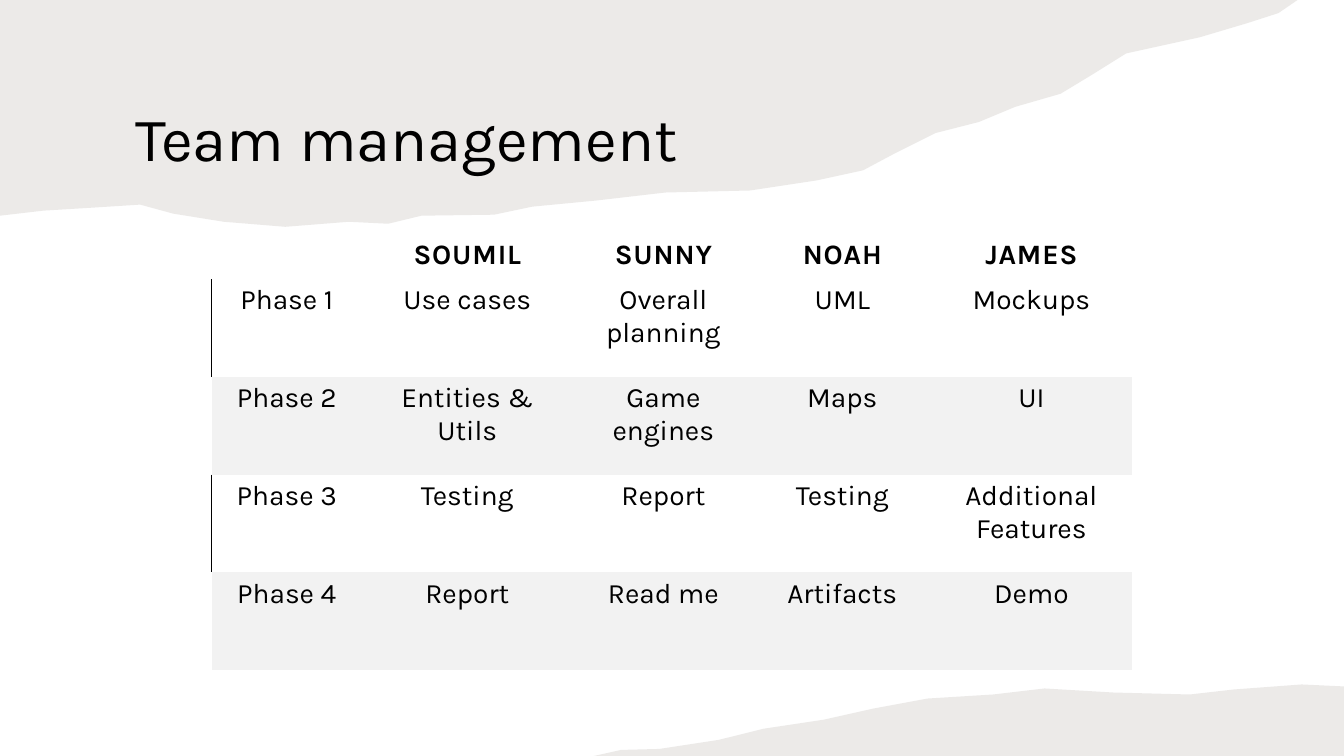
from lxml import etree
from pptx import Presentation
from pptx.dml.color import RGBColor
from pptx.enum import text
from pptx.oxml import ns
from pptx.util import Pt

PX = 9144  # EMU in one px, 100 px to the inch
WIDTH, HEIGHT = 1333, 750
FONT = "Karla"
COLORS = {"ink": "000000", "paper": "82766A", "band": "F2F2F2"}
PAPER_OPACITY = 15

TOP_PAPER = [
    (0, 0), (1287, 0), (1268, 13), (1237, 23), (1190, 37), (1117, 53),
    (1085, 73), (1052, 93), (1007, 106), (971, 121), (928, 132), (886, 153),
    (856, 169), (810, 179), (744, 189), (660, 191), (591, 199), (528, 205),
    (490, 213), (418, 214), (385, 222), (346, 220), (283, 225), (222, 220),
    (172, 212), (139, 203), (92, 206), (43, 209), (0, 214),
]
BOTTOM_PAPER = [
    (WIDTH, HEIGHT), (589, 750), (616, 744), (654, 743), (713, 734), (757, 723),
    (817, 714), (866, 703), (920, 693), (985, 689), (1036, 683), (1104, 687),
    (1180, 689), (1224, 684), (1291, 679), (WIDTH, 681),
]

TABLE_LEFT, TABLE_TOP = 210, 219
COLUMN_WIDTHS = [149, 209, 180, 175, 200]
HEADER_HEIGHT, PHASE_HEIGHT = 58, 97
PLAN = [
    ["", "SOUMIL", "SUNNY", "NOAH", "JAMES"],
    ["Phase 1", "Use cases", "Overall planning", "UML", "Mockups"],
    ["Phase 2", "Entities & Utils", "Game engines", "Maps", "UI"],
    ["Phase 3", "Testing", "Report", "Testing", "Additional Features"],
    ["Phase 4", "Report", "Read me", "Artifacts", "Demo"],
]


def color(name):
    return RGBColor.from_string(COLORS[name])


def write(frame, words, size, align, bold=False, spacing=0, line_spacing=1.0):
    """Put one formatted paragraph in a text frame; spacing is in points."""
    para = frame.paragraphs[0]
    para.alignment = align
    para.line_spacing = line_spacing
    span = para.add_run()
    span.text = words
    span.font.name = FONT
    span.font.size = Pt(size)
    span.font.bold = bold
    span.font.color.rgb = color("ink")
    if spacing:
        span.font._element.set("spc", str(round(spacing * 100)))


def add_torn_paper(page, outline):
    builder = page.shapes.build_freeform(*outline[0], scale=PX)
    builder.add_line_segments(outline[1:], close=True)
    paper = builder.convert_to_shape()
    paper.shadow.inherit = False
    paper.line.fill.background()
    paper.fill.solid()
    paper.fill.fore_color.rgb = color("paper")
    tint = next(paper.element.spPr.iter(ns.qn("a:srgbClr")))
    etree.SubElement(tint, ns.qn("a:alpha"), val=str(PAPER_OPACITY * 1000))
    return paper


def add_title(page, words):
    title = page.shapes.title
    title.left, title.top, title.width, title.height = (
        n * PX for n in (124, 67, 1027, 146))
    frame = title.text_frame
    frame.auto_size = text.MSO_AUTO_SIZE.NONE
    frame.vertical_anchor = text.MSO_ANCHOR.MIDDLE
    write(frame, words, 44, text.PP_ALIGN.LEFT, line_spacing=0.9)
    return title


def add_left_border(cell):
    border = etree.Element(ns.qn("a:lnL"), w=str(Pt(1)))
    fill = etree.SubElement(border, ns.qn("a:solidFill"))
    etree.SubElement(fill, ns.qn("a:srgbClr"), val=COLORS["ink"])
    cell._tc.get_or_add_tcPr().insert(0, border)


def fill_cell(cell, words, row, column):
    header = row == 0
    banded = row > 0 and row % 2 == 0
    cell.margin_left = cell.margin_right = 10 * PX
    cell.margin_top = (8 if header else 5) * PX
    cell.margin_bottom = 8 * PX
    cell.vertical_anchor = text.MSO_ANCHOR.BOTTOM if header else text.MSO_ANCHOR.TOP
    if banded:
        cell.fill.solid()
        cell.fill.fore_color.rgb = color("band")
    else:
        cell.fill.background()
    if column == 0 and not header and not banded:
        add_left_border(cell)
    if words:
        write(cell.text_frame, words, 20, text.PP_ALIGN.CENTER, bold=header,
              spacing=0.6 if header else 0)


def add_plan_table(page):
    heights = [HEADER_HEIGHT] + [PHASE_HEIGHT] * (len(PLAN) - 1)
    holder = page.shapes.add_table(
        len(PLAN), len(COLUMN_WIDTHS), TABLE_LEFT * PX, TABLE_TOP * PX,
        sum(COLUMN_WIDTHS) * PX, sum(heights) * PX)
    table = holder.table
    table.first_row = table.horz_banding = False
    style = next(holder.element.iter(ns.qn("a:tableStyleId")))
    style.text = "{2D5ABB26-0587-4C30-8999-92F81FD0307C}"  # no style, no grid
    for column, width in zip(table.columns, COLUMN_WIDTHS):
        column.width = width * PX
    for row, height in zip(table.rows, heights):
        row.height = height * PX
    for r, entries in enumerate(PLAN):
        for c, words in enumerate(entries):
            fill_cell(table.cell(r, c), words, r, c)


def main():
    deck = Presentation()
    deck.slide_width, deck.slide_height = WIDTH * PX, HEIGHT * PX
    page = deck.slides.add_slide(deck.slide_layouts.get_by_name("Title Only"))
    title = add_title(page, "Team management")
    top_paper = add_torn_paper(page, TOP_PAPER)
    title.element.addprevious(top_paper.element)
    add_torn_paper(page, BOTTOM_PAPER)
    add_plan_table(page)
    deck.save("out.pptx")


if __name__ == "__main__":
    main()
